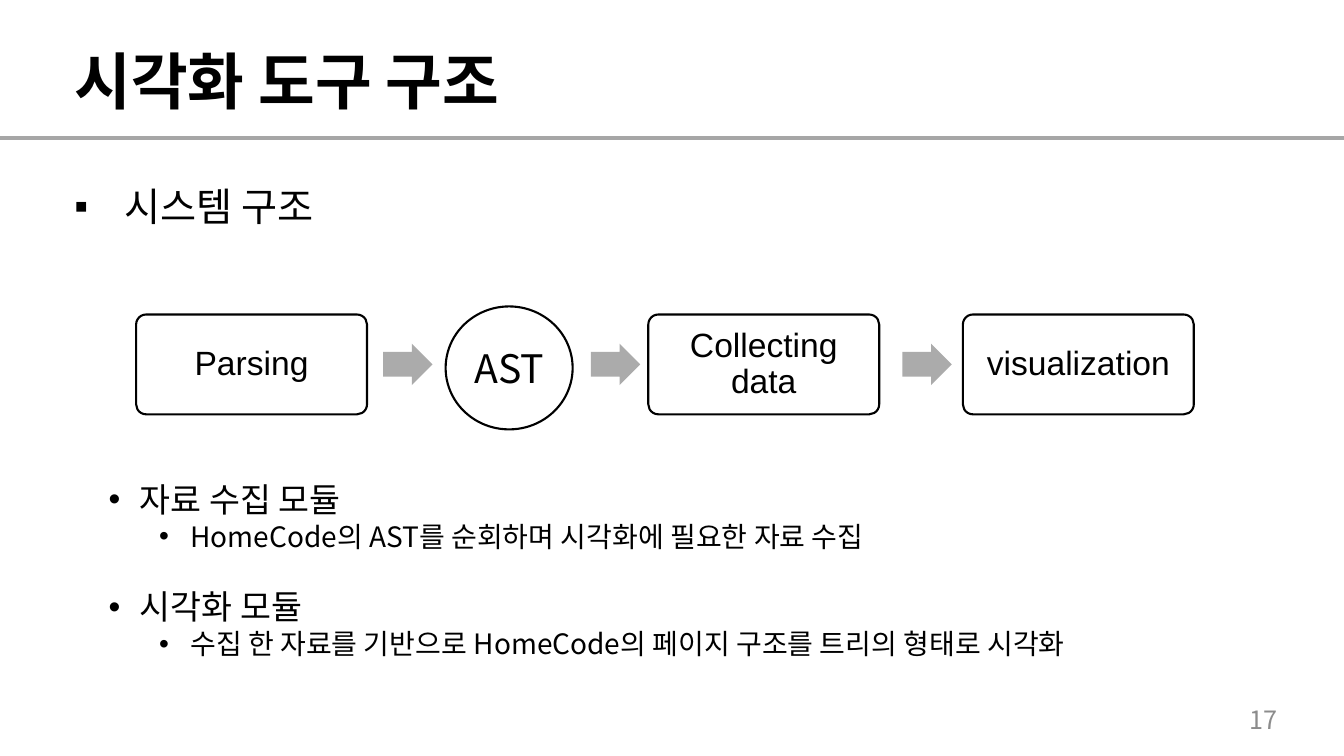
from lxml.etree import SubElement
from pptx import Presentation
from pptx.dml.color import RGBColor
from pptx.enum.shapes import MSO_CONNECTOR, MSO_SHAPE as SHAPE
from pptx.enum.text import MSO_ANCHOR as ANCHOR, PP_ALIGN as ALIGN
from pptx.oxml.ns import qn
from pptx.util import Inches, Pt

BLACK = RGBColor(0x00, 0x00, 0x00)
WHITE = RGBColor(0xFF, 0xFF, 0xFF)
RULE_GRAY = RGBColor(0xA6, 0xA6, 0xA6)
ARROW_GRAY = RGBColor(0xAB, 0xAB, 0xAB)
NUMBER_GRAY = RGBColor(0x8C, 0x8C, 0x8C)
LATIN = "Arial"
KOREAN = "Noto Sans CJK KR"


def style_paragraph(paragraph, text, size, font=KOREAN, color=BLACK, bold=False,
                    align=ALIGN.LEFT, spacing=None):
    paragraph.text = text
    paragraph.alignment = align
    paragraph.line_spacing = spacing
    paragraph.font.size = Pt(size)
    paragraph.font.name = font
    paragraph.font.bold = bold
    paragraph.font.color.rgb = color
    defaults = paragraph._p.get_or_add_pPr().find(qn("a:defRPr"))
    SubElement(defaults, qn("a:ea")).set("typeface", KOREAN)


def add_bullet(paragraph, symbol, left, hanging):
    properties = paragraph._p.get_or_add_pPr()
    properties.set("marL", str(Inches(left)))
    properties.set("indent", str(-Inches(hanging)))
    defaults = properties.find(qn("a:defRPr"))
    for tag, key, value in (("a:buFont", "typeface", LATIN), ("a:buChar", "char", symbol)):
        bullet = SubElement(properties, qn(tag))
        bullet.set(key, value)
        defaults.addprevious(bullet)


def add_text_frame(slide, left, top, width, height, anchor=ANCHOR.TOP):
    box = slide.shapes.add_textbox(Inches(left), Inches(top), Inches(width), Inches(height))
    frame = box.text_frame
    frame.word_wrap = True
    frame.vertical_anchor = anchor
    return frame


def add_flow_shape(slide, kind, left, top, width, height, fill=None, outline=None):
    shape = slide.shapes.add_shape(kind, Inches(left), Inches(top), Inches(width), Inches(height))
    shape.shadow.inherit = False
    if fill is None:
        shape.fill.background()
    else:
        shape.fill.solid()
        shape.fill.fore_color.rgb = fill
    if outline is None:
        shape.line.fill.background()
    else:
        shape.line.color.rgb = outline
        shape.line.width = Pt(1.5)
    return shape


def add_header(slide, left, top, width, height):
    # Rule across the slide, just under the title
    rule_top = Inches(top + height + 0.03)
    rule = slide.shapes.add_connector(MSO_CONNECTOR.STRAIGHT, 0, rule_top, Inches(13.33), rule_top)
    rule.line.color.rgb = RULE_GRAY
    rule.line.width = Pt(2.25)
    SubElement(rule._element.spPr, qn("a:effectLst"))
    frame = add_text_frame(slide, left, top, width, height, ANCHOR.MIDDLE)
    style_paragraph(frame.paragraphs[0], "시각화 도구 구조", 44, LATIN, bold=True, spacing=0.9)


def add_section_heading(slide, left, top, width, height):
    paragraph = add_text_frame(slide, left, top, width, height).paragraphs[0]
    style_paragraph(paragraph, "시스템 구조", 28, LATIN, align=ALIGN.JUSTIFY, spacing=Pt(51))
    add_bullet(paragraph, "▪", 0.5, 0.5)


def add_flow(slide, left, top):
    # Process steps
    for offset, label in ((0, "Parsing"), (5.08, "Collecting data"), (8.2, "visualization ")):
        step = add_flow_shape(slide, SHAPE.ROUNDED_RECTANGLE, left + offset, top, 2.29, 0.99,
                              WHITE, BLACK)
        step.adjustments[0] = 0.1
        frame = step.text_frame
        frame.word_wrap = True
        frame.margin_left = frame.margin_right = Inches(0.17)
        frame.vertical_anchor = ANCHOR.MIDDLE
        style_paragraph(frame.paragraphs[0], label, 24, LATIN, align=ALIGN.CENTER, spacing=0.9)

    # Intermediate result
    tree = add_flow_shape(slide, SHAPE.OVAL, left + 3.07, top - 0.08, 1.26, 1.22, outline=BLACK)
    tree.text_frame.vertical_anchor = ANCHOR.MIDDLE
    style_paragraph(tree.text_frame.paragraphs[0], "AST", 28, align=ALIGN.CENTER)

    # Arrows between the parts
    for offset in (2.45, 4.51, 7.6):
        arrow = add_flow_shape(slide, SHAPE.RIGHT_ARROW, left + offset, top + 0.29, 0.49, 0.41,
                               ARROW_GRAY)
        arrow.adjustments[0] = 0.6


def add_modules(slide, left, top, width, height):
    modules = (
        ("자료 수집 모듈", "HomeCode의 AST를 순회하며 시각화에 필요한 자료 수집"),
        ("시각화 모듈", "수집 한 자료를 기반으로 HomeCode의 페이지 구조를 트리의 형태로 시각화"),
    )
    frame = add_text_frame(slide, left, top, width, height)
    for index, (name, task) in enumerate(modules):
        heading = frame.add_paragraph() if index else frame.paragraphs[0]
        style_paragraph(heading, name, 24, spacing=Pt(28.8))
        heading.space_before = Pt(24 * index)
        add_bullet(heading, "•", 0.31, 0.31)
        detail = frame.add_paragraph()
        detail.level = 1
        style_paragraph(detail, task, 20, spacing=Pt(24))
        add_bullet(detail, "•", 0.81, 0.31)


def add_page_number(slide, left, top, width, height):
    frame = add_text_frame(slide, left, top, width, height, ANCHOR.MIDDLE)
    style_paragraph(frame.paragraphs[0], "17", 18, color=NUMBER_GRAY, align=ALIGN.RIGHT)


def main():
    presentation = Presentation()
    presentation.slide_width = Inches(13.33)
    presentation.slide_height = Inches(7.5)
    slide = presentation.slides.add_slide(presentation.slide_layouts[6])
    add_header(slide, 0.64, 0.34, 11.5, 1)
    add_section_heading(slide, 0.64, 1.52, 11.65, 0.72)
    add_flow(slide, 1.35, 3.12)
    add_modules(slide, 0.98, 4.7, 12.03, 1.92)
    add_page_number(slide, 9.77, 6.94, 3, 0.4)
    presentation.save("out.pptx")


if __name__ == "__main__":
    main()
